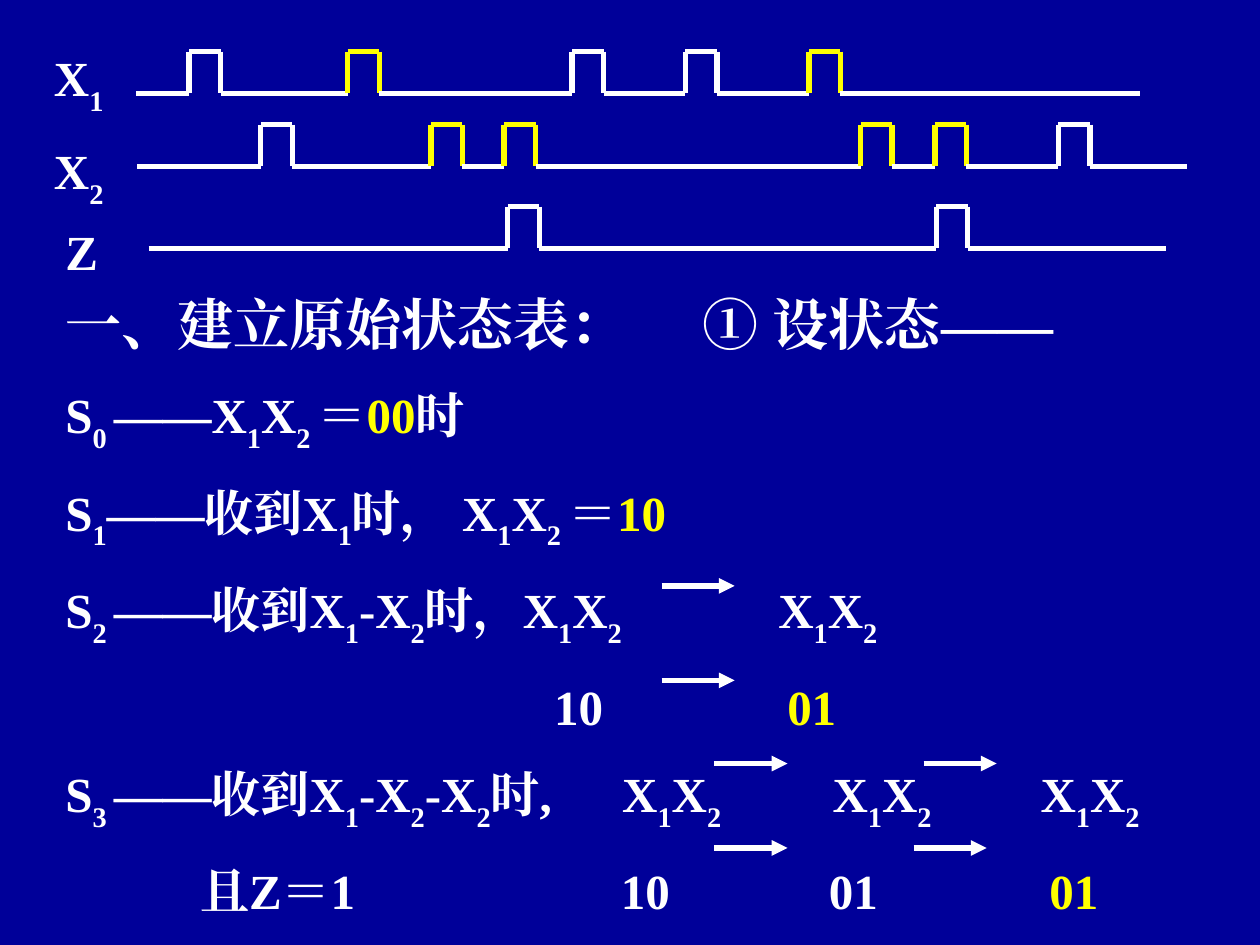
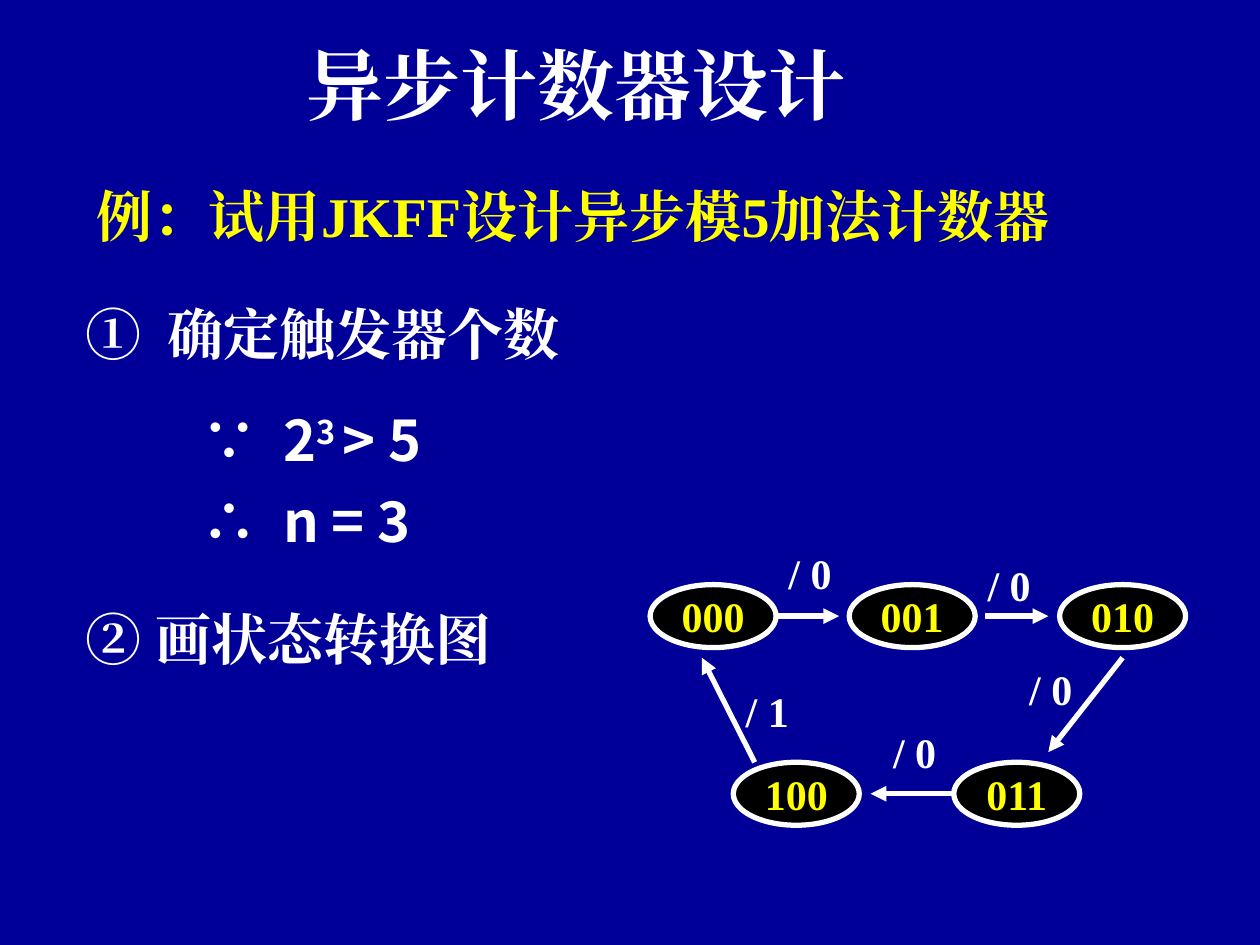
from dataclasses import dataclass
from itertools import groupby

from lxml.etree import SubElement
from pptx import Presentation
from pptx.dml.color import RGBColor
from pptx.enum.shapes import MSO_CONNECTOR, MSO_SHAPE
from pptx.enum.text import MSO_ANCHOR, PP_ALIGN
from pptx.oxml.ns import qn
from pptx.util import Inches, Pt

NAVY = RGBColor(0x00, 0x00, 0x99)
WHITE = RGBColor(0xFF, 0xFF, 0xFF)
YELLOW = RGBColor(0xFF, 0xFF, 0x00)
BLACK = RGBColor(0x00, 0x00, 0x00)
SERIF, SANS = "Times New Roman", "Noto Sans CJK SC"

WIDTH, HEIGHT = Inches(10), Inches(7.5)
COLUMNS, ROWS = 10, 7.5
PULSE_W, PULSE_H = 0.25, 0.33
OVAL_W, OVAL_H = 1, 0.5
LINE_W = Pt(3)

Point = tuple[float, float]
Box = tuple[float, float, float, float]


@dataclass(frozen=True)
class Line:
    text: str
    size: int = 28
    tabs: tuple[float, ...] = ()
    before: float = 0
    color: RGBColor = WHITE
    font: str = SERIF
    align: PP_ALIGN = PP_ALIGN.LEFT


@dataclass(frozen=True)
class Trace:
    start: float
    end: float
    base: float
    pulses: tuple[float, ...]
    yellow: tuple[float, ...] = ()


@dataclass(frozen=True)
class State:
    code: str
    left: float
    top: float


@dataclass(frozen=True)
class Step:
    start: Point
    end: Point
    label: str
    label_at: Point


def col(n: float) -> int:
    return round(n * WIDTH / COLUMNS)


def row(n: float) -> int:
    return round(n * HEIGHT / ROWS)


def place(box: Box) -> tuple[int, int, int, int]:
    x, y, w, h = box
    return col(x), row(y), col(w), row(h)


def parse(text: str) -> list[tuple[str, str, bool]]:
    """Split into (character, mark, yellow): _ lowers and ^ raises the next one, * toggles yellow."""
    chars, mark, yellow = [], "", False
    for ch in text:
        if ch in "_^":
            mark = ch
        elif ch == "*":
            yellow = not yellow
        else:
            chars.append((ch, mark, yellow))
            mark = ""
    return chars


def write(tf, lines: list[Line]) -> None:
    for i, line in enumerate(lines):
        p = tf.add_paragraph() if i else tf.paragraphs[0]
        p.alignment = line.align
        p.space_before = Pt(line.before)
        if line.tabs:
            tab_list = SubElement(p._p.get_or_add_pPr(), qn("a:tabLst"))
            for stop in line.tabs:
                SubElement(tab_list, qn("a:tab"), pos=str(col(stop)), algn="l")
        p.font.name, p.font.size, p.font.bold = line.font, Pt(line.size), True
        p.font.color.rgb = line.color
        for (mark, yellow), group in groupby(parse(line.text), key=lambda c: c[1:]):
            r = p.add_run()
            r.text = "".join(c[0] for c in group)
            if yellow:
                r.font.color.rgb = YELLOW
            r_pr = r._r.get_or_add_rPr()
            if mark:
                r_pr.set("baseline", "-30000" if mark == "_" else "30000")
            SubElement(r_pr, qn("a:ea"), typeface=SERIF)


def add_text(s, box: Box, *lines: Line) -> None:
    tf = s.shapes.add_textbox(*place(box)).text_frame
    tf.word_wrap = True
    write(tf, list(lines))


def add_line(s, start: Point, end: Point, color: RGBColor = WHITE, arrow: bool = False) -> None:
    c = s.shapes.add_connector(MSO_CONNECTOR.STRAIGHT, col(start[0]), row(start[1]),
                               col(end[0]), row(end[1]))
    c.line.color.rgb, c.line.width = color, LINE_W
    if arrow:
        SubElement(c.line._get_or_add_ln(), qn("a:tailEnd"), type="triangle")
    SubElement(c._element.spPr, qn("a:effectLst"))


def add_trace(s, trace: Trace) -> None:
    x, low, high = trace.start, trace.base, trace.base - PULSE_H
    for left in trace.pulses:
        right = left + PULSE_W
        color = YELLOW if left in trace.yellow else WHITE
        add_line(s, (x, low), (left, low))
        corners = [(left, low), (left, high), (right, high), (right, low)]
        for a, b in zip(corners, corners[1:]):
            add_line(s, a, b, color)
        x = right
    add_line(s, (x, low), (trace.end, low))


def add_state(s, state: State) -> None:
    sp = s.shapes.add_shape(MSO_SHAPE.OVAL, *place((state.left, state.top, OVAL_W, OVAL_H)))
    sp.shadow.inherit = False
    sp.fill.solid()
    sp.fill.fore_color.rgb = BLACK
    sp.line.color.rgb, sp.line.width = WHITE, LINE_W
    tf = sp.text_frame
    tf.word_wrap, tf.vertical_anchor = False, MSO_ANCHOR.MIDDLE
    write(tf, [Line(state.code, 24, color=YELLOW, align=PP_ALIGN.CENTER)])


TRACES = [
    Trace(1.08, 9.05, 0.74, (1.5, 2.76, 4.54, 5.44, 6.42), (2.76, 6.42)),
    Trace(1.09, 9.42, 1.32, (2.07, 3.42, 4.0, 6.83, 7.42, 8.4), (3.42, 4.0, 6.83, 7.42)),
    Trace(1.18, 9.25, 1.97, (4.03, 7.43)),
]
SIGNALS = [("X_1", 0.33, 0.33), ("X_2", 0.33, 1.07), ("Z", 0.42, 1.71)]
STATE_ROWS = [
    ("S_0_ ——X_1X_2_ ＝*00*时", ()),
    ("S_1——收到X_1时， X_1X_2_ ＝*10*", ()),
    ("S_2_ ——收到X_1-X_2时，X_1X_2\tX_1X_2", (5.66,)),
    ("\t10\t*01*", (3.88, 5.73)),
    ("S_3_ ——收到X_1-X_2-X_2时,\tX_1X_2\tX_1X_2\tX_1X_2", (4.42, 6.09, 7.74)),
    ("\t且Z＝1\t10\t01\t*01*", (1.07, 4.41, 6.06, 7.81)),
]
ARROW_LEN = 0.58
ARROWS = [(5.25, 4.65), (5.25, 5.4), (5.67, 6.06), (7.33, 6.06), (5.67, 6.73), (7.25, 6.73)]

UPPER, LOWER = 4.64, 6.05
STATES = [State("000", 5.16, UPPER), State("001", 6.74, UPPER), State("010", 8.41, UPPER),
          State("011", 7.57, LOWER), State("100", 5.82, LOWER)]
STEPS = [
    Step((6.16, 4.89), (6.66, 4.89), "/ 0", (6.16, 4.3)),
    Step((7.82, 4.89), (8.32, 4.89), "/ 0", (7.74, 4.39)),
    Step((8.91, 5.22), (8.32, 5.97), "/ 0", (8.07, 5.22)),
    Step((7.57, 6.3), (6.91, 6.3), "/ 0", (6.99, 5.72)),
    Step((5.99, 6.05), (5.57, 5.22), "/ 1", (5.82, 5.39)),
]


def build_state_table_slide(prs) -> None:
    s = prs.slides.add_slide(prs.slide_layouts[6])
    for trace in TRACES:
        add_trace(s, trace)
    for name, x, y in SIGNALS:
        add_text(s, (x, y, 0.75, 0.57), Line(name))
    heading = Line("一、建立原始状态表：\t① 设状态——", 32, (5.06,), align=PP_ALIGN.JUSTIFY)
    rows = [Line(text, tabs=tabs, before=16, align=PP_ALIGN.JUSTIFY) for text, tabs in STATE_ROWS]
    add_text(s, (0.42, 2.25, 9.33, 4.84), heading, *rows)
    for x, y in ARROWS:
        add_line(s, (x, y), (x + ARROW_LEN, y), arrow=True)


def build_counter_slide(prs) -> None:
    s = prs.slides.add_slide(prs.slide_layouts[5])
    title = s.shapes.title
    title.left, title.top, title.width, title.height = place((2.33, 0.25, 4.67, 0.83))
    title.text_frame.word_wrap = True
    title.text_frame.vertical_anchor = MSO_ANCHOR.TOP
    write(title.text_frame, [Line("异步计数器设计", 44)])

    add_text(s, (0.67, 1.39, 8.33, 0.63), Line("例：试用JKFF设计异步模5加法计数器", 32, color=YELLOW))
    add_text(s, (0.58, 2.33, 4.5, 0.63), Line("①\t确定触发器个数", 32, (0.65,)))
    add_text(s, (1.5, 3.17, 4.08, 1.43),
             Line("∵\t2^3^ > 5", 32, (0.65,), font=SANS, align=PP_ALIGN.JUSTIFY),
             Line("∴\tn = 3", 32, (0.65,), 8, font=SANS, align=PP_ALIGN.JUSTIFY))
    add_text(s, (0.58, 4.75, 3.83, 0.63), Line("② 画状态转换图", 32, font=SANS))

    for state in STATES:
        add_state(s, state)
    for step in STEPS:
        add_line(s, step.start, step.end, arrow=True)
        add_text(s, (*step.label_at, 0.83, 0.5), Line(step.label, 24))


def main() -> None:
    prs = Presentation()
    prs.slide_width, prs.slide_height = WIDTH, HEIGHT
    fill = prs.slide_master.background.fill
    fill.solid()
    fill.fore_color.rgb = NAVY
    build_state_table_slide(prs)
    build_counter_slide(prs)
    prs.save("out.pptx")


if __name__ == "__main__":
    main()
